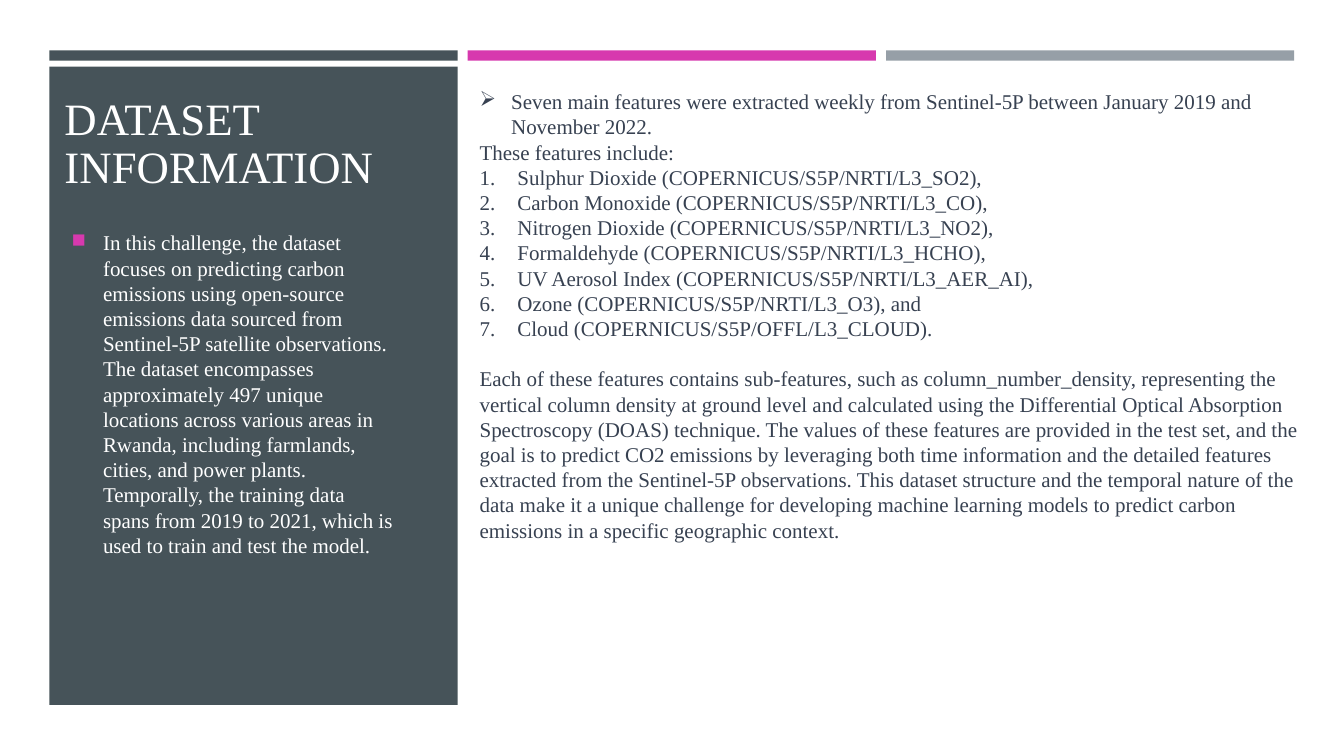
from lxml import etree
from pptx import Presentation
from pptx import util as u
from pptx.dml.color import RGBColor
from pptx.enum import shapes, text
from pptx.oxml.ns import qn

Pt = u.Pt
FONT = "Times New Roman"
COLORS = {"slate": "465359", "pink": "D739AE", "grey": "969FA7",
          "white": "FFFFFF", "ink": "374151"}

CHALLENGE = (
    "In this challenge, the dataset focuses on predicting carbon emissions using "
    "open-source emissions data sourced from Sentinel-5P satellite observations. "
    "The dataset encompasses approximately 497 unique locations across various areas "
    "in Rwanda, including farmlands, cities, and power plants. Temporally, the training "
    "data spans from 2019 to 2021, which is used to train and test the model.")
EXTRACTION = ("Seven main features were extracted weekly from Sentinel-5P between "
              "January 2019 and November 2022.")
FEATURES = [
    "Sulphur Dioxide (COPERNICUS/S5P/NRTI/L3_SO2),",
    "Carbon Monoxide (COPERNICUS/S5P/NRTI/L3_CO),",
    "Nitrogen Dioxide (COPERNICUS/S5P/NRTI/L3_NO2),",
    "Formaldehyde (COPERNICUS/S5P/NRTI/L3_HCHO),",
    "UV Aerosol Index (COPERNICUS/S5P/NRTI/L3_AER_AI),",
    "Ozone (COPERNICUS/S5P/NRTI/L3_O3), and",
    "Cloud (COPERNICUS/S5P/OFFL/L3_CLOUD).",
]
SUB_FEATURES = (
    "Each of these features contains sub-features, such as column_number_density, "
    "representing the vertical column density at ground level and calculated using the "
    "Differential Optical Absorption Spectroscopy (DOAS) technique. The values of these "
    "features are provided in the test set, and the goal is to predict CO2 emissions by "
    "leveraging both time information and the detailed features extracted from the "
    "Sentinel-5P observations. This dataset structure and the temporal nature of the data "
    "make it a unique challenge for developing machine learning models to predict carbon "
    "emissions in a specific geographic context.")


def rgb(name):
    return RGBColor.from_string(COLORS[name])


def add_block(s, x, y, w, h, color):
    sp = s.shapes.add_shape(shapes.MSO_SHAPE.RECTANGLE, Pt(x), Pt(y), Pt(w), Pt(h))
    sp.shadow.inherit = False
    sp.fill.solid()
    sp.fill.fore_color.rgb = rgb(color)
    sp.line.fill.background()


def add_text(s, x, y, w, h, lines, size, color):
    """Add a wrapping text box with one paragraph per line."""
    tf = s.shapes.add_textbox(Pt(x), Pt(y), Pt(w), Pt(h)).text_frame
    tf.word_wrap = True
    tf.text = "\n".join(lines)
    for p in tf.paragraphs:
        for r in p.runs:
            r.font.name = FONT
            r.font.size = Pt(size)
            r.font.color.rgb = rgb(color)
    return tf


def add_bullet(p, indent, char=None, color=None, percent=100):
    """Give a paragraph a hanging bullet, or a number when no char is given."""
    pPr = p._p.get_or_add_pPr()
    pPr.set("marL", str(Pt(indent)))
    pPr.set("indent", str(-Pt(indent)))
    if color:
        clr = etree.SubElement(pPr, qn("a:buClr"))
        etree.SubElement(clr, qn("a:srgbClr"), val=COLORS[color])
    etree.SubElement(pPr, qn("a:buSzPct"), val=str(percent * 1000))
    if char:
        etree.SubElement(pPr, qn("a:buChar"), char=char)
    else:
        etree.SubElement(pPr, qn("a:buAutoNum"), type="arabicPeriod")


def main():
    prs = Presentation()
    prs.slide_width, prs.slide_height = Pt(960), Pt(540)
    s = prs.slides.add_slide(prs.slide_layouts[6])
    s.background.fill.solid()
    s.background.fill.fore_color.rgb = rgb("white")

    # Side panel and the three bars along the top
    left, width, gap = 35.3, 291.6, 7.2
    add_block(s, left, 47.5, width, 456, "slate")
    for i, color in enumerate(("slate", "pink", "grey")):
        add_block(s, left + i * (width + gap), 36, width, 7.4, color)

    # Title
    tf = add_text(s, 39, 59.8, 256.3, 82, ["DATASET INFORMATION"], 32, "white")
    tf.vertical_anchor = text.MSO_ANCHOR.BOTTOM
    tf.paragraphs[0].line_spacing = 0.9

    # Challenge summary in the panel
    tf = add_text(s, 44, 160.6, 246.2, 289.4, [CHALLENGE], 15, "white")
    add_bullet(tf.paragraphs[0], 22.5, "■", "pink", 92)

    # Feature list and explanation
    lines = [EXTRACTION, "These features include:", *FEATURES, SUB_FEATURES]
    tf = add_text(s, 335.5, 59.8, 599.8, 444.2, lines, 15, "ink")
    extraction, _, *features, explanation = tf.paragraphs
    add_bullet(extraction, 22.5, "➢")
    for p in features:
        add_bullet(p, 27)
    explanation.space_before = Pt(18)

    prs.save("out.pptx")


if __name__ == "__main__":
    main()
